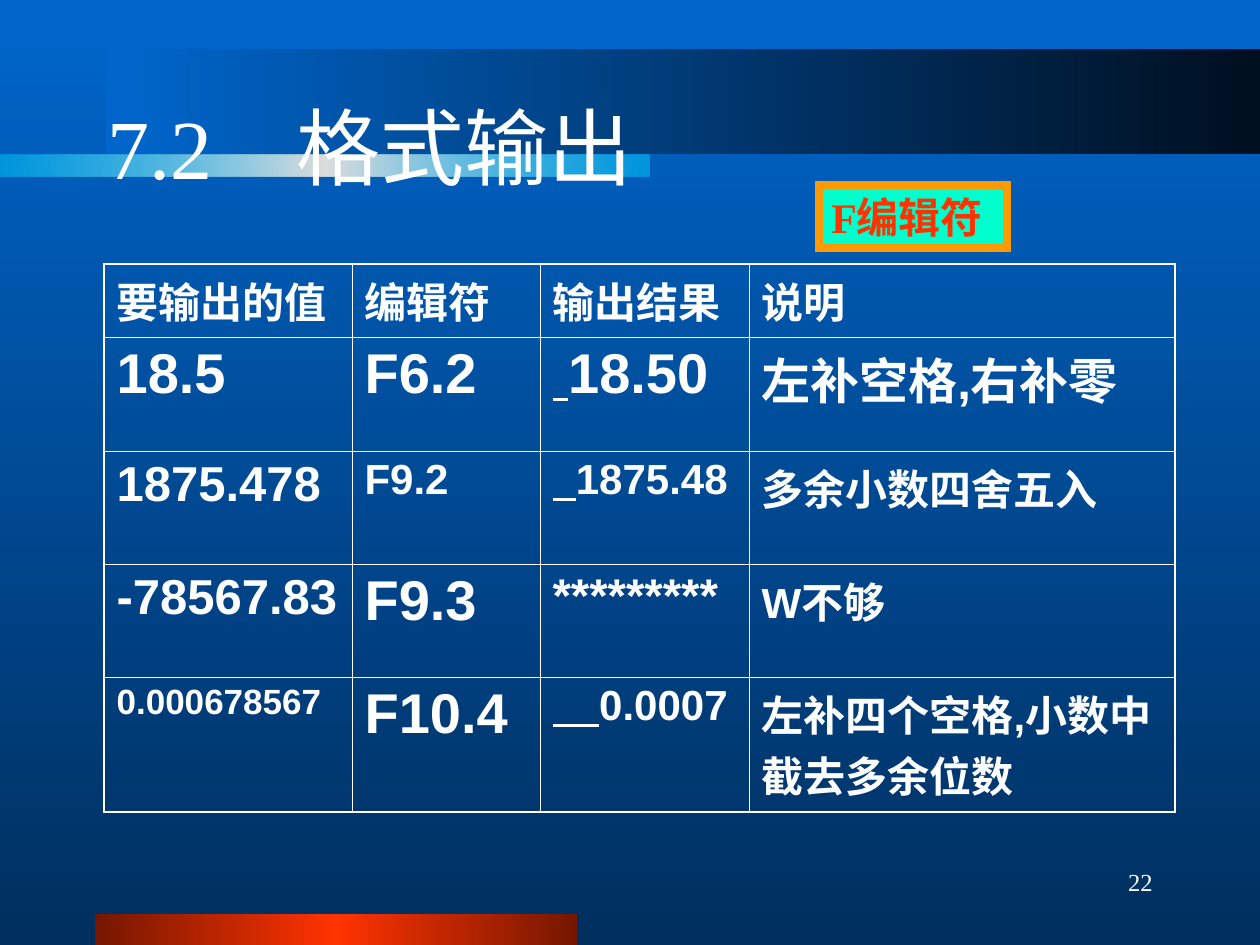
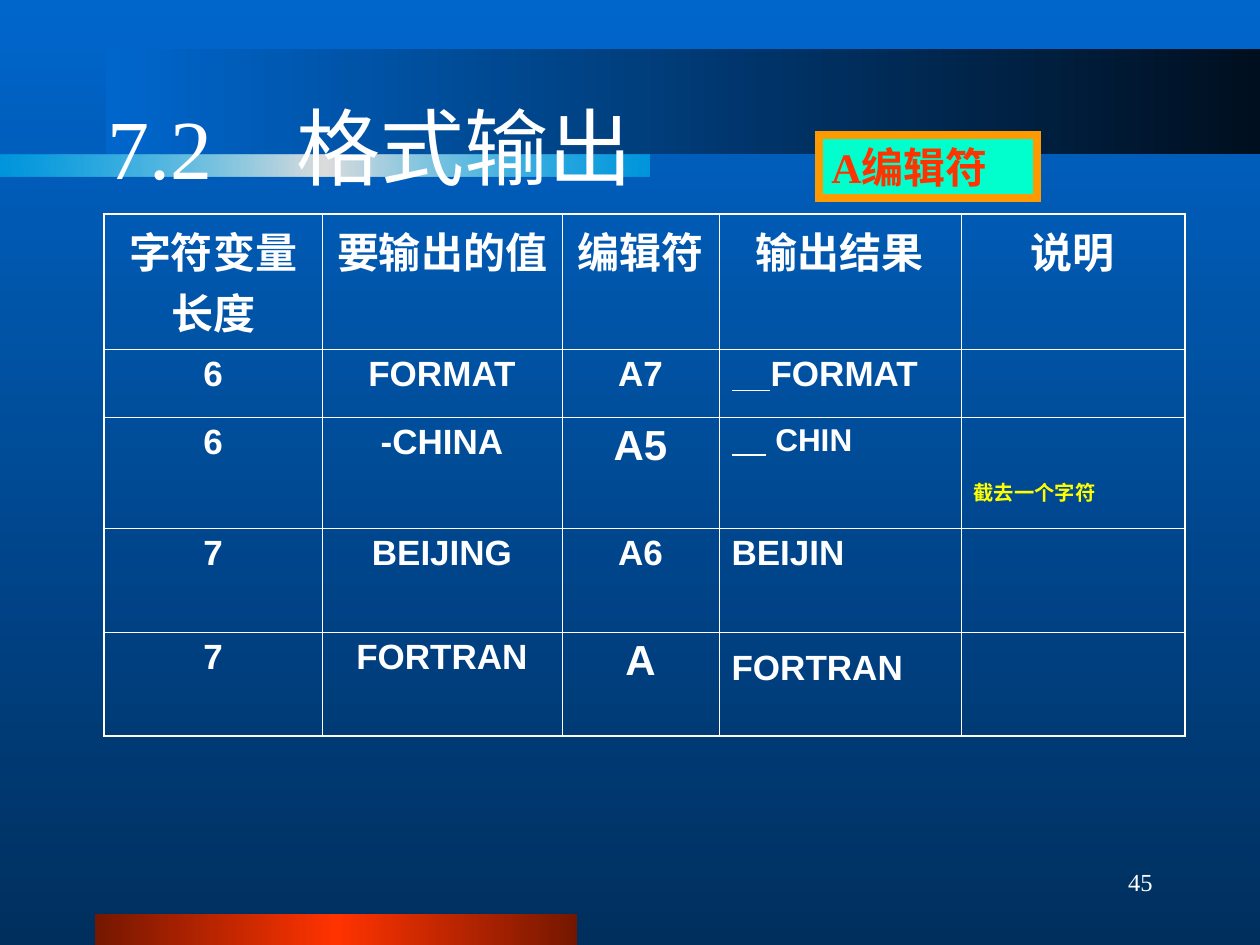
from dataclasses import dataclass
from lxml.etree import SubElement
from pptx import Presentation
from pptx.dml.color import RGBColor
from pptx.enum.shapes import MSO_SHAPE
from pptx.enum.text import MSO_ANCHOR, MSO_AUTO_SIZE, PP_ALIGN
from pptx.oxml.ns import qn
from pptx.util import Emu, Pt


@dataclass(frozen=True)
class Theme:
    text: str = "FFFFFF"
    remark: str = "FFFF00"
    badge_fill: str = "00FFCC"
    badge_line: str = "FF9900"
    badge_text: str = "FF3300"
    serif: str = "Times New Roman"
    sans: str = "Arial"
    title_size: int = 48
    badge_size: int = 24
    number_size: int = 14
    outer_line: float = 1.08
    inner_line: float = 0.45
    badge_line_width: float = 4.5


THEME = Theme()


@dataclass(frozen=True)
class Entry:
    """One table cell; blanks counts the underlined output blanks before the text."""
    text: str = ""
    size: int = 24
    blanks: int = 0
    color: str = THEME.text
    superscript: bool = False
    top: int = 6


SLIDE_SIZE = (1260, 945)
TITLE = "7.2　格式输出"
TITLE_PLACE = (95, 67, 1071, 157)
NUMBER_PLACE = (903, 850, 262, 63)
TABLE_LEFT, BADGE_LEFT, BADGE_HEIGHT = 104, 819, 63

# Gradient stops: position, colour, opacity (all in percent)
BACKGROUND = [(0, "0066CC", 100), (100, "002F5E", 100)]
BANDS = [
    ((95, 914, 482, 31),
     [(0, "751700", 100), (50, "FF3300", 100), (100, "751700", 100)]),
    ((106, 49, 1154, 105),
     [(0, "000F1F", 100), (100, "0066CC", 100)]),
    ((0, 155, 650, 21),
     [(0, "00CCFF", 50), (50, "DDDDDD", 100), (100, "00CCFF", 50)]),
]

PAGES = [
    {
        "number": "22", "badge": "F编辑符", "badge_top": 185, "badge_width": 188,
        "table_top": 264, "columns": [248, 188, 209, 426],
        "row_heights": [73, 114, 113, 113, 135],
        "centred_columns": 0, "centred_header": False,
        "rows": [
            [Entry("要输出的值"), Entry("编辑符"), Entry("输出结果"), Entry("说明")],
            [Entry("18.5", 32), Entry("F6.2", 32), Entry("18.50", 32, blanks=1),
             Entry("左补空格,右补零", 28)],
            [Entry("1875.478", 28), Entry("F9.2"), Entry("1875.48", blanks=2),
             Entry("多余小数四舍五入")],
            [Entry("-78567.83", 28), Entry("F9.3", 32), Entry("*********", 27),
             Entry("W不够")],
            [Entry("0.000678567", 20), Entry("F10.4", 32), Entry("0.0007", blanks=4),
             Entry("左补四个空格,小数中截去多余位数")],
        ],
    },
    {
        "number": "45", "badge": "A编辑符", "badge_top": 135, "badge_width": 218,
        "table_top": 214, "columns": [218, 240, 157, 242, 224],
        "row_heights": [135, 68, 111, 104, 104],
        "centred_columns": 3, "centred_header": True,
        "rows": [
            [Entry("字符变量长度"), Entry("要输出的值"), Entry("编辑符"),
             Entry("输出结果"), Entry("说明")],
            [Entry("6", 20), Entry("FORMAT", 20), Entry("A7", 20),
             Entry("FORMAT", 20, blanks=4), Entry()],
            [Entry("6", 20), Entry("-CHINA", 20), Entry("A5"),
             Entry(" CHIN", 18, blanks=4),
             Entry("截去一个字符", 20, color=THEME.remark, superscript=True, top=53)],
            [Entry("7", 20), Entry("BEIJING", 20), Entry("A6", 20),
             Entry("BEIJIN", 20), Entry()],
            [Entry("7", 20), Entry("FORTRAN", 20), Entry("A"),
             Entry("FORTRAN", 20, top=17), Entry()],
        ],
    },
]


def px(length):
    return Emu(round(length * 914400 / 126))


def place(rect):
    return [px(length) for length in rect]


def add_span(para, text, size, font, color, **formats):
    span = para.add_run()
    span.text = text
    span.font.color.rgb = RGBColor.from_string(color)
    for name, value in {"size": Pt(size), "name": font, **formats}.items():
        setattr(span.font, name, value)
    return span


def fill_gradient(fill, stops, angle):
    fill.gradient()
    fill.gradient_angle = angle
    stop_list = fill.gradient_stops[0]._gs.getparent()
    for stop in list(stop_list):
        stop_list.remove(stop)
    for position, color, opacity in stops:
        stop = SubElement(stop_list, qn("a:gs"), pos=str(position * 1000))
        tone = SubElement(stop, qn("a:srgbClr"), val=color)
        if opacity < 100:
            SubElement(tone, qn("a:alpha"), val=str(opacity * 1000))


def add_rectangle(page, rect):
    shape = page.shapes.add_shape(MSO_SHAPE.RECTANGLE, *place(rect))
    shape.shadow.inherit = False
    return shape


def add_text(page, rect, text, size, align):
    frame = page.shapes.add_textbox(*place(rect)).text_frame
    frame.word_wrap = True
    frame.vertical_anchor = MSO_ANCHOR.MIDDLE
    para = frame.paragraphs[0]
    para.alignment = align
    add_span(para, text, size, THEME.serif, THEME.text)


def add_frame(page, number):
    """Background, bands, title and page number shared by all pages."""
    fill_gradient(page.background.fill, BACKGROUND, 270)
    for rect, stops in BANDS:
        band = add_rectangle(page, rect)
        fill_gradient(band.fill, stops, 180)
        band.line.fill.background()
    add_text(page, TITLE_PLACE, TITLE, THEME.title_size, PP_ALIGN.LEFT)
    add_text(page, NUMBER_PLACE, number, THEME.number_size, PP_ALIGN.RIGHT)


def add_badge(page, text, top, width):
    badge = add_rectangle(page, (BADGE_LEFT, top, width, BADGE_HEIGHT))
    badge.fill.solid()
    badge.fill.fore_color.rgb = RGBColor.from_string(THEME.badge_fill)
    badge.line.color.rgb = RGBColor.from_string(THEME.badge_line)
    badge.line.width = Pt(THEME.badge_line_width)
    outline = badge._element.spPr.find(qn("a:ln"))
    SubElement(outline, qn("a:miter"), lim="800000")
    frame = badge.text_frame
    formats = {"word_wrap": True, "vertical_anchor": MSO_ANCHOR.TOP,
               "auto_size": MSO_AUTO_SIZE.SHAPE_TO_FIT_TEXT}
    for name, value in formats.items():
        setattr(frame, name, value)
    para = frame.paragraphs[0]
    para.alignment = PP_ALIGN.LEFT
    add_span(para, text, THEME.badge_size, THEME.serif, THEME.badge_text, bold=True)


def add_borders(cell, outer_sides):
    """Draw all four sides, with the heavier line on the table's outer edge."""
    properties = cell._tc.get_or_add_tcPr()
    for side, is_outer in outer_sides.items():
        width = THEME.outer_line if is_outer else THEME.inner_line
        line = SubElement(properties, qn(f"a:ln{side}"), w=str(int(Pt(width))))
        SubElement(SubElement(line, qn("a:solidFill")), qn("a:srgbClr"), val=THEME.text)


def fill_cell(cell, entry, align):
    cell.fill.background()
    cell.margin_top = px(entry.top)
    para = cell.text_frame.paragraphs[0]
    para.alignment = align
    style = (entry.size, THEME.sans, entry.color)
    if entry.blanks:
        add_span(para, " " * entry.blanks, *style, bold=True, underline=True)
    if entry.text:
        span = add_span(para, entry.text, *style, bold=True)
        if entry.superscript:
            span.font._element.set("baseline", "30000")


def add_format_table(page, content):
    rows, widths, heights = content["rows"], content["columns"], content["row_heights"]
    rect = (TABLE_LEFT, content["table_top"], sum(widths), sum(heights))
    table = page.shapes.add_table(len(rows), len(widths), *place(rect)).table
    table.first_row = table.horz_banding = False
    for column, width in zip(table.columns, widths):
        column.width = px(width)
    for row, height in zip(table.rows, heights):
        row.height = px(height)
    for r, entries in enumerate(rows):
        for c, entry in enumerate(entries):
            cell = table.cell(r, c)
            add_borders(cell, {"L": c == 0, "R": c == len(widths) - 1,
                               "T": r == 0, "B": r == len(rows) - 1})
            centred = (c < content["centred_columns"]
                       or r == 0 and content["centred_header"])
            fill_cell(cell, entry, PP_ALIGN.CENTER if centred else PP_ALIGN.LEFT)


def main():
    deck = Presentation()
    deck.slide_width, deck.slide_height = place(SLIDE_SIZE)
    for content in PAGES:
        page = deck.slides.add_slide(deck.slide_layouts[6])
        add_frame(page, content["number"])
        add_format_table(page, content)
        add_badge(page, content["badge"], content["badge_top"], content["badge_width"])
    deck.save("out.pptx")


if __name__ == "__main__":
    main()
